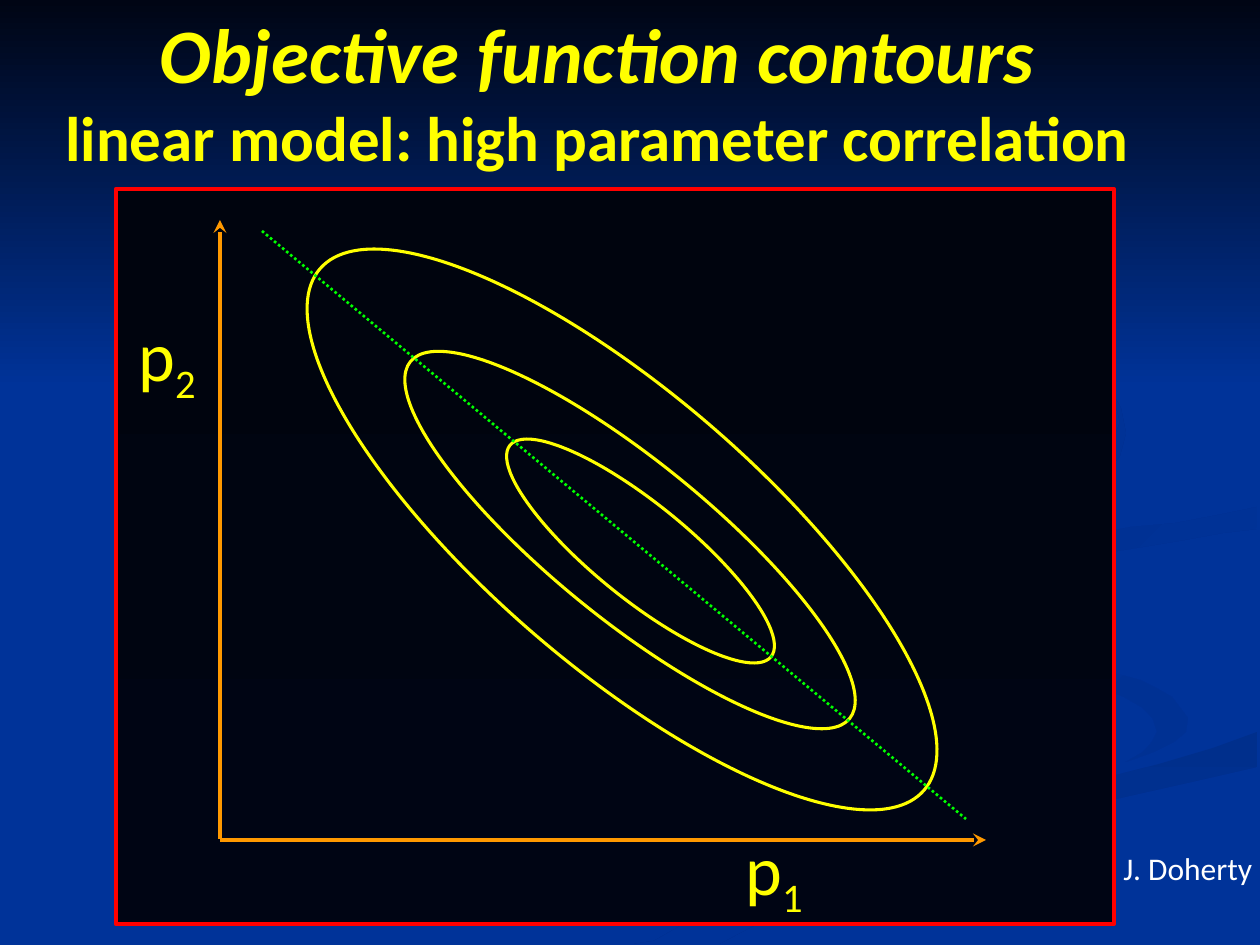
"""Draw the contours of an objective function with high parameter correlation."""
from dataclasses import dataclass

import pptx
import pptx.dml.color
import pptx.enum.dml
import pptx.enum.shapes
import pptx.enum.text
import pptx.oxml
import pptx.oxml.ns
import pptx.util
from lxml import etree

PX = 914400 / 126
YELLOW, ORANGE, GREEN, RED, WHITE = "FFFF00", "FF9900", "00FF00", "FF0000", "FFFFFF"
NAVY, BLUE = "000514", "003399"
SHAPE = pptx.enum.shapes.MSO_SHAPE
ALIGN = pptx.enum.text.PP_ALIGN


@dataclass
class Box:
    x: int
    y: int
    w: int
    h: int
    turn: float = 0


@dataclass
class Swirl:
    start: str
    end: str
    angle: int
    points: list


@dataclass
class Line:
    x1: int
    y1: int
    x2: int
    y2: int
    color: str
    width: float
    arrow: bool = False


@dataclass
class Label:
    box: Box
    text: str
    size: int
    color: str
    sub: str = ""
    wrap: bool = False


SWIRLS = [
    Swirl(BLUE, "003193", 45, [
        (1188, 718), (1172, 697), (1158, 689), (1140, 680), (1096, 668), (1046, 654),
        (998, 641), (955, 627), (924, 609), (912, 585), (920, 610), (940, 630),
        (984, 653), (1056, 675), (1094, 685), (1124, 697), (1143, 708), (1153, 719),
        (1157, 732), (1152, 742), (1143, 752), (1126, 762), (1154, 752), (1174, 742),
        (1186, 732)]),
    Swirl("002F8C", BLUE, 90, [
        (654, 941), (634, 944), (719, 944), (774, 915), (844, 885), (948, 847),
        (1085, 806), (1196, 781), (1257, 767), (1257, 732), (1213, 748), (1159, 764),
        (1047, 793), (963, 815), (834, 858), (755, 890), (684, 924)]),
    Swirl("003091", BLUE, 45, [
        (984, 580), (985, 591), (997, 602), (1016, 614), (1041, 625), (1023, 614),
        (1014, 600), (1015, 590), (1028, 578), (1062, 564), (1106, 553), (1179, 541),
        (1223, 533), (1257, 529), (1257, 507), (1218, 515), (1176, 523), (1131, 527),
        (1070, 538), (1034, 547), (1007, 557), (989, 571)]),
    Swirl("002F8E", BLUE, 45, [
        (861, 542), (931, 530), (990, 519), (1040, 507), (1077, 493), (1104, 476),
        (1120, 456), (1126, 433), (1121, 408), (1109, 387), (1089, 367), (1062, 347),
        (1007, 315), (960, 294), (1014, 320), (1066, 352), (1095, 377), (1115, 403),
        (1120, 422), (1111, 446), (1085, 466), (1046, 481), (961, 501), (852, 522),
        (788, 537), (742, 556), (727, 582), (736, 604), (761, 620), (784, 630),
        (756, 611), (747, 592), (757, 575), (786, 559), (818, 549)]),
]
RINGS = [Box(593, 383, 95, 336, 129), Box(551, 257, 158, 566, 129.1),
         Box(223, 393, 798, 273, 40.8)]
AXES = [Line(220, 839, 220, 220, ORANGE, 2.5, True),
        Line(220, 840, 986, 840, ORANGE, 2.5, True)]
RIDGE = Line(262, 231, 966, 819, GREEN, 1.5)
LABELS = [Label(Box(733, 819, 100, 97), "p", 40, YELLOW, "1"),
          Label(Box(126, 305, 100, 97), "p", 40, YELLOW, "2"),
          Label(Box(1111, 843, 158, 50), "J. Doherty", 18, WHITE, wrap=True)]


def emu(px: float) -> int:
    return round(px * PX)


def rgb(code: str) -> pptx.dml.color.RGBColor:
    return pptx.dml.color.RGBColor.from_string(code)


def place(box: Box) -> list[int]:
    return [emu(side) for side in (box.x, box.y, box.w, box.h)]


def shade(shape, start: str, end: str, angle: int) -> None:
    shape.fill.gradient()
    shape.fill.gradient_angle = (360 - angle) % 360
    for stop, code in zip(shape.fill.gradient_stops, (start, end)):
        stop.color.rgb = rgb(code)


def edge(shape, color: str, width: float) -> None:
    shape.line.color.rgb = rgb(color)
    shape.line.width = pptx.util.Pt(width)


def add_shape(slide, kind, box: Box):
    shape = slide.shapes.add_shape(kind, *place(box))
    shape.shadow.inherit = False
    shape.rotation = box.turn
    return shape


def add_swirl(slide, swirl: Swirl) -> None:
    pen = slide.shapes.build_freeform(*swirl.points[0], scale=PX)
    pen.add_line_segments(swirl.points[1:], close=True)
    shape = pen.convert_to_shape()
    shape.shadow.inherit = False
    shape.line.fill.background()
    shade(shape, swirl.start, swirl.end, swirl.angle)


def add_ring(slide, box: Box) -> None:
    ring = add_shape(slide, SHAPE.OVAL, box)
    ring.fill.background()
    edge(ring, YELLOW, 1.75)


def add_line(slide, line: Line):
    ends = [emu(v) for v in (line.x1, line.y1, line.x2, line.y2)]
    link = slide.shapes.add_connector(pptx.enum.shapes.MSO_CONNECTOR.STRAIGHT, *ends)
    edge(link, line.color, line.width)
    props = link._element.spPr
    if line.arrow:
        stroke = props.find(pptx.oxml.ns.qn("a:ln"))
        etree.SubElement(stroke, pptx.oxml.ns.qn("a:tailEnd"), type="stealth")
    etree.SubElement(props, pptx.oxml.ns.qn("a:effectLst"))
    return link


def write(par, text: str, *, size: int, color: str = YELLOW, bold: bool = False,
          slant: bool = False, base: int = 0) -> None:
    run = par.add_run()
    run.text = text
    font = run.font
    font.name, font.size = "Calibri", pptx.util.Pt(size)
    font.bold, font.italic = bold, slant
    font.color.rgb = rgb(color)
    if base:
        run._r.get_or_add_rPr().set("baseline", str(base * 1000))


def add_label(slide, label: Label) -> None:
    frame = slide.shapes.add_textbox(*place(label.box)).text_frame
    frame.word_wrap = label.wrap
    par = frame.paragraphs[0]
    write(par, label.text, size=label.size, color=label.color)
    if label.sub:
        write(par, label.sub, size=label.size, color=label.color, base=-25)


def add_title(slide, box: Box) -> None:
    title = slide.shapes.title
    title.left, title.top, title.width, title.height = place(box)
    title._element.getparent().append(title._element)
    frame = title.text_frame
    frame.word_wrap = False
    frame.auto_size = pptx.enum.text.MSO_AUTO_SIZE.NONE
    frame.vertical_anchor = pptx.enum.text.MSO_ANCHOR.TOP
    head, sub = frame.paragraphs[0], frame.add_paragraph()
    head.alignment = sub.alignment = ALIGN.CENTER
    write(head, "Objective function contours", size=44, bold=True, slant=True)
    write(sub, "linear model: high parameter correlation", size=36, bold=True)


def main() -> None:
    deck = pptx.Presentation()
    deck.slide_width, deck.slide_height = emu(1260), emu(945)
    slide = deck.slides.add_slide(deck.slide_layouts[5])
    slide.background.fill.solid()
    slide.background.fill.fore_color.rgb = rgb(BLUE)
    for swirl in SWIRLS:
        add_swirl(slide, swirl)
    sky = add_shape(slide, SHAPE.RECTANGLE, Box(0, 0, 1260, 388))
    sky.line.fill.background()
    shade(sky, NAVY, BLUE, 90)
    panel = add_shape(slide, SHAPE.RECTANGLE, Box(116, 189, 998, 735))
    shade(panel, "00040E", NAVY, 90)
    edge(panel, RED, 2.5)
    for axis in AXES:
        add_line(slide, axis)
    for ring in RINGS:
        add_ring(slide, ring)
    add_title(slide, Box(20, 0, 1155, 183))
    ridge = add_line(slide, RIDGE)
    ridge.line.dash_style = pptx.enum.dml.MSO_LINE.ROUND_DOT
    for label in LABELS:
        add_label(slide, label)
    deck.save("out.pptx")


if __name__ == "__main__":
    main()
